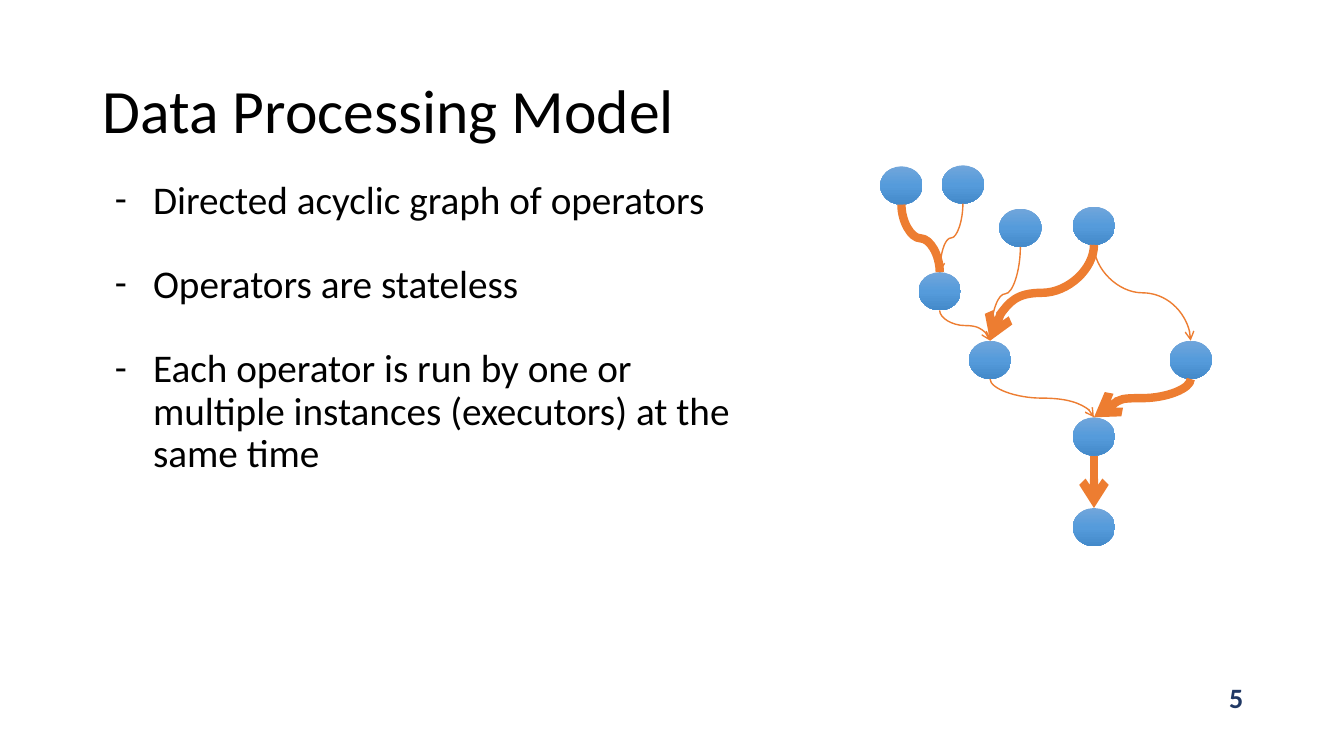
from copy import deepcopy

from lxml import etree
from pptx import Presentation
from pptx.dml.color import RGBColor
from pptx.enum import shapes, text
from pptx.oxml.ns import qn
from pptx.util import Inches, Pt

BLACK = RGBColor(0x00, 0x00, 0x00)
NAVY = RGBColor(0x20, 0x38, 0x64)
ORANGE = RGBColor(0xED, 0x7D, 0x31)
NODE_GRADIENT = (
    RGBColor(0x71, 0xA6, 0xDB),
    RGBColor(0x55, 0x9B, 0xDB),
    RGBColor(0x44, 0x8A, 0xCA),
)

FONT = "Calibri"
NODE_WIDTH, NODE_HEIGHT = 0.42, 0.38
THIN, THICK = 1, 6

POINTS = [
    "Directed acyclic graph of operators",
    "Operators are stateless",
    "Each operator is run by one or multiple instances (executors) at the same time",
]

# Operator name: left and top in inches
OPERATORS = {
    "source 1": (8.73, 1.65),
    "source 2": (9.34, 1.64),
    "source 3": (9.91, 2.07),
    "source 4": (10.64, 2.05),
    "merge": (9.11, 2.70),
    "left join": (9.61, 3.38),
    "right step": (11.60, 3.38),
    "final join": (10.64, 4.14),
    "sink": (10.64, 5.04),
}

# From, to, line width in points, has an arrowhead
STREAMS = [
    ("source 1", "merge", THICK, False),
    ("source 2", "merge", THIN, True),
    ("source 3", "left join", THIN, True),
    ("merge", "left join", THIN, True),
    ("source 4", "left join", THICK, True),
    ("source 4", "right step", THIN, True),
    ("left join", "final join", THIN, True),
    ("right step", "final join", THICK, True),
    ("final join", "sink", THICK, True),
]


def add_text(slide, box, paragraphs, size, color, anchor, bold=False):
    frame = slide.shapes.add_textbox(*map(Inches, box)).text_frame
    frame.word_wrap = True
    frame.vertical_anchor = anchor
    frame.text = "\n".join(paragraphs)
    for paragraph in frame.paragraphs:
        font = paragraph.runs[0].font
        font.name, font.size, font.bold = FONT, Pt(size), bold
        font.color.rgb = color
    return frame


def add_dash_bullet(paragraph):
    properties = paragraph._p.get_or_add_pPr()
    properties.set("marL", str(Inches(0.5)))
    properties.set("indent", str(Inches(-0.38)))
    etree.SubElement(properties, qn("a:buFont")).set("typeface", FONT)
    etree.SubElement(properties, qn("a:buChar")).set("char", "-")


def add_operator(slide, left, top):
    node = slide.shapes.add_shape(
        shapes.MSO_SHAPE.OVAL,
        Inches(left), Inches(top), Inches(NODE_WIDTH), Inches(NODE_HEIGHT),
    )
    node.shadow.inherit = False
    node.line.fill.background()
    node.fill.gradient()
    node.fill.gradient_angle = 270
    stop_list = node.element.spPr.find(".//" + qn("a:gsLst"))
    stop_list.append(deepcopy(stop_list[0]))
    for stop, color, position in zip(node.fill.gradient_stops, NODE_GRADIENT, (0, 0.5, 1)):
        stop.color.rgb = color
        stop.position = position


def add_stream(slide, source, target, width, has_arrow):
    """Draw an edge from the bottom of one operator to the top of another."""
    x1, y1 = source[0] + NODE_WIDTH / 2, source[1] + NODE_HEIGHT
    x2, y2 = target[0] + NODE_WIDTH / 2, target[1]
    if x1 == x2:
        stream = slide.shapes.add_connector(
            shapes.MSO_CONNECTOR.STRAIGHT, *map(Inches, (x1, y1, x2, y2))
        )
    else:
        # A curve leaves sideways, so it is laid flat and turned to run downwards.
        goes_right = x2 > x1
        middle_x, middle_y = (x1 + x2) / 2, (y1 + y2) / 2
        half_length, half_height = (y2 - y1) / 2, abs(x2 - x1) / 2
        if goes_right:
            half_length = -half_length
        ends = (middle_x - half_length, middle_y - half_height,
                middle_x + half_length, middle_y + half_height)
        stream = slide.shapes.add_connector(
            shapes.MSO_CONNECTOR.CURVE, *map(Inches, ends)
        )
        turn = 270 if goes_right else 90
        stream.element.spPr.find(qn("a:xfrm")).set("rot", str(turn * 60000))
    stream.line.color.rgb = ORANGE
    stream.line.width = Pt(width)
    if has_arrow:
        line = stream.line._get_or_add_ln()
        etree.SubElement(line, qn("a:tailEnd")).set("type", "arrow")
    etree.SubElement(stream.element.spPr, qn("a:effectLst"))


def main():
    deck = Presentation()
    deck.slide_width, deck.slide_height = Inches(13.33), Inches(7.5)
    slide = deck.slides.add_slide(deck.slide_layouts[6])

    title = add_text(slide, (0.92, 0.4, 11.5, 1.45), ["Data Processing Model"],
                     44, BLACK, text.MSO_ANCHOR.MIDDLE)
    title.paragraphs[0].line_spacing = 0.9

    body = add_text(slide, (0.92, 1.74, 6.47, 4.76), POINTS,
                    28, BLACK, text.MSO_ANCHOR.TOP)
    for point in body.paragraphs:
        point.line_spacing = 0.9
        point.space_after = Pt(30)
        add_dash_bullet(point)

    page_number = add_text(slide, (9.43, 6.72, 3, 0.4), ["5"],
                           20, NAVY, text.MSO_ANCHOR.MIDDLE, bold=True)
    page_number.paragraphs[0].alignment = text.PP_ALIGN.RIGHT

    for left, top in OPERATORS.values():
        add_operator(slide, left, top)
    for source, target, width, has_arrow in STREAMS:
        add_stream(slide, OPERATORS[source], OPERATORS[target], width, has_arrow)

    deck.save("out.pptx")


if __name__ == "__main__":
    main()
